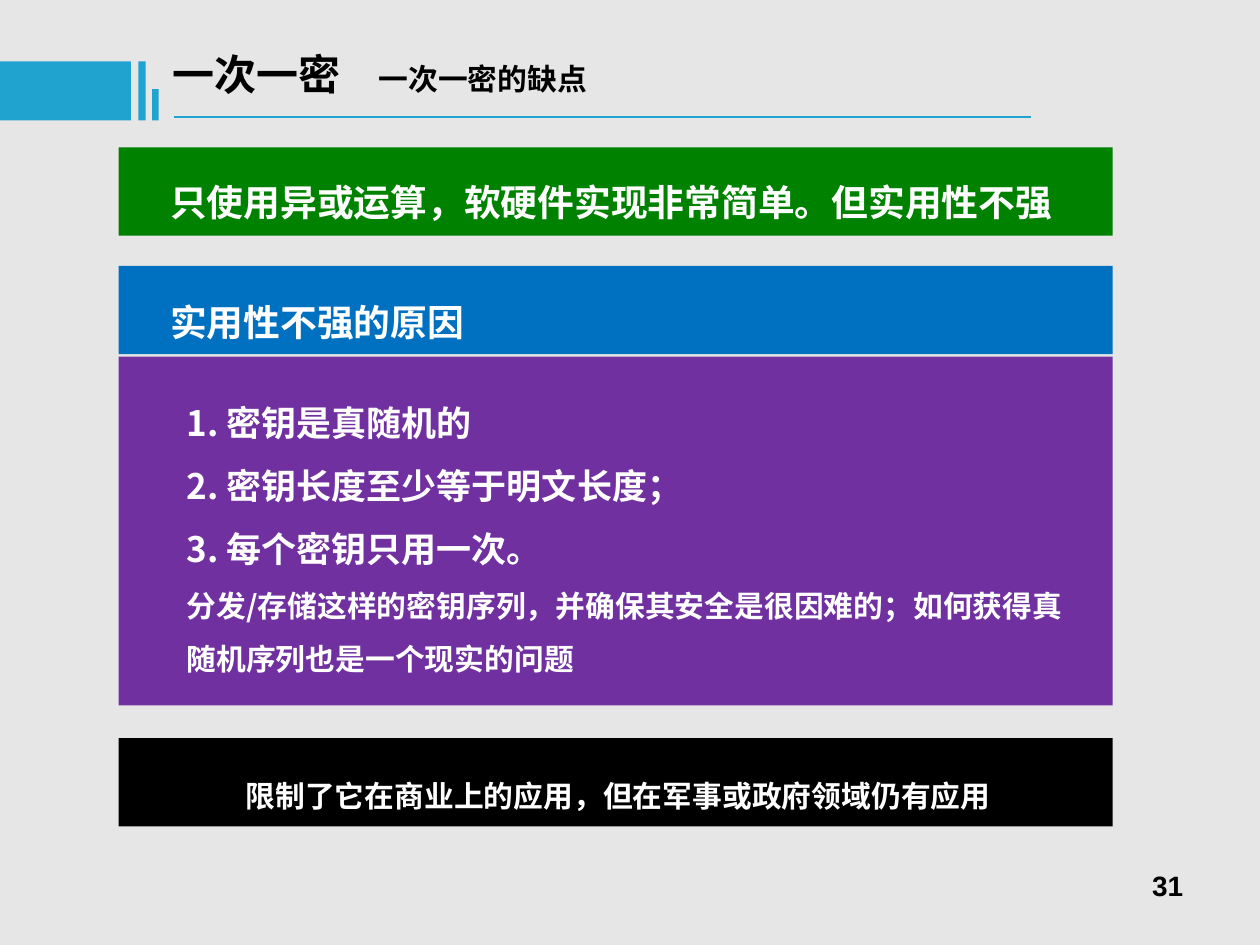
import pptx
import pptx.dml.color
import pptx.enum.shapes
import pptx.enum.text
import pptx.oxml.ns
import pptx.util
from lxml import etree
from pptx.dml.color import RGBColor
from pptx.util import Cm

BACKGROUND = RGBColor(0xE7, 0xE6, 0xE6)
ACCENT = RGBColor(0x21, 0xA3, 0xD0)
GREEN = RGBColor(0x00, 0x82, 0x00)
BLUE = RGBColor(0x00, 0x70, 0xC0)
PURPLE = RGBColor(0x70, 0x30, 0xA0)
BLACK = RGBColor(0x00, 0x00, 0x00)
WHITE = RGBColor(0xFF, 0xFF, 0xFF)
CHINESE_FONT = "Noto Sans CJK SC"
PANEL_LEFT = 2.39
PANEL_WIDTH = 20.04
BAR_HEIGHT = 1.78


def add_span(para, text, size, color, font=CHINESE_FONT):
    """Append a bold run with the same Latin and East Asian font."""
    span = para.add_run()
    span.text = text
    span.font.size = pptx.util.Pt(size)
    span.font.bold = True
    span.font.name = font
    span.font.color.rgb = color
    east_asian = etree.SubElement(span.font._element, pptx.oxml.ns.qn("a:ea"))
    east_asian.set("typeface", font)


def add_block(page, left, top, width, height, color):
    """Draw a plain filled rectangle."""
    block = page.shapes.add_shape(
        pptx.enum.shapes.MSO_SHAPE.RECTANGLE, Cm(left), Cm(top), Cm(width), Cm(height))
    block.shadow.inherit = False
    block.fill.solid()
    block.fill.fore_color.rgb = color
    block.line.fill.background()


def set_frame(frame, side, edge):
    """Wrap the text at the top of its frame with the given insets."""
    frame.word_wrap = True
    frame.vertical_anchor = pptx.enum.text.MSO_ANCHOR.TOP
    frame.margin_left = frame.margin_right = Cm(side)
    frame.margin_top = frame.margin_bottom = Cm(edge)


def add_text(page, left, top, width, height, lines, spacing=1.5, side=0.25, edge=0.13):
    """Add white text, one paragraph for each pair of wording and size."""
    box = page.shapes.add_textbox(Cm(left), Cm(top), Cm(width), Cm(height))
    frame = box.text_frame
    set_frame(frame, side, edge)
    frame.auto_size = pptx.enum.text.MSO_AUTO_SIZE.SHAPE_TO_FIT_TEXT
    for index, (text, size) in enumerate(lines):
        para = frame.add_paragraph() if index else frame.paragraphs[0]
        para.line_spacing = spacing
        add_span(para, text, size, WHITE)


def add_title(page):
    """Fill the title with the topic and, after a tab, the subtopic."""
    title = page.shapes.title
    title.left, title.top, title.width, title.height = Cm(3.23), Cm(0.84), Cm(17.37), Cm(2.01)
    frame = title.text_frame
    set_frame(frame, 0.25, 0.13)
    frame.auto_size = pptx.enum.text.MSO_AUTO_SIZE.NONE
    para = frame.paragraphs[0]
    para.alignment = pptx.enum.text.PP_ALIGN.LEFT
    tabs = etree.SubElement(para._p.get_or_add_pPr(), pptx.oxml.ns.qn("a:tabLst"))
    etree.SubElement(tabs, pptx.oxml.ns.qn("a:tab"), pos=str(Cm(4.15)), algn="l")
    add_span(para, "一次一密\t", 24, BLACK)
    add_span(para, "一次一密的缺点", 17, BLACK)


def add_header(page):
    """Draw the accent blocks and the rule around the title."""
    for left, top, width, height in (
            (0, 1.24, 2.64, 1.19), (2.79, 1.24, 0.15, 1.19), (3.07, 1.8, 0.13, 0.63)):
        add_block(page, left, top, width, height, ACCENT)
    rule = page.shapes.add_connector(
        pptx.enum.shapes.MSO_CONNECTOR.STRAIGHT, Cm(3.51), Cm(2.36), Cm(20.78), Cm(2.36))
    rule.line.color.rgb = ACCENT
    rule.line.width = pptx.util.Pt(1.5)
    etree.SubElement(rule._element.spPr, pptx.oxml.ns.qn("a:effectLst"))


def add_page_number(page):
    """Put the page number in the lower right corner."""
    box = page.shapes.add_textbox(Cm(18.21), Cm(17.35), Cm(5.92), Cm(1.32))
    set_frame(box.text_frame, 0.28, 0.15)
    para = box.text_frame.paragraphs[0]
    para.alignment = pptx.enum.text.PP_ALIGN.RIGHT
    add_span(para, "31", 16, BLACK, "Arial")


def main():
    """Build the slide and save the deck."""
    deck = pptx.Presentation()
    deck.slide_width, deck.slide_height = Cm(25.4), Cm(19.05)
    page = deck.slides.add_slide(deck.slide_layouts[5])
    page.background.fill.solid()
    page.background.fill.fore_color.rgb = BACKGROUND
    add_title(page)
    add_header(page)

    for top, height, color in (
            (2.97, BAR_HEIGHT, GREEN), (5.36, BAR_HEIGHT, BLUE),
            (7.19, 7.03, PURPLE), (14.88, BAR_HEIGHT, BLACK)):
        add_block(page, PANEL_LEFT, top, PANEL_WIDTH, height, color)

    for top, text in (
            (3.05, "只使用异或运算，软硬件实现非常简单。但实用性不强"),
            (5.46, "实用性不强的原因")):
        add_text(page, 3.18, top, 18.47, 1.6, [(text, 21)])
    add_text(page, 3.51, 7.54, 18.52, 6.22, [
        ("1. 密钥是真随机的", 20),
        ("2. 密钥长度至少等于明文长度；", 20),
        ("3. 每个密钥只用一次。", 20),
        ("分发/存储这样的密钥序列，并确保其安全是很因难的；如何获得真随机序列也是一个现实的问题", 17),
    ])
    add_text(page, 4.8, 14.88, 19.84, 1.6,
             [("限制了它在商业上的应用，但在军事或政府领域仍有应用", 17)],
             spacing=2.0, side=0.15, edge=0.08)
    add_page_number(page)
    deck.save("out.pptx")


if __name__ == "__main__":
    main()
